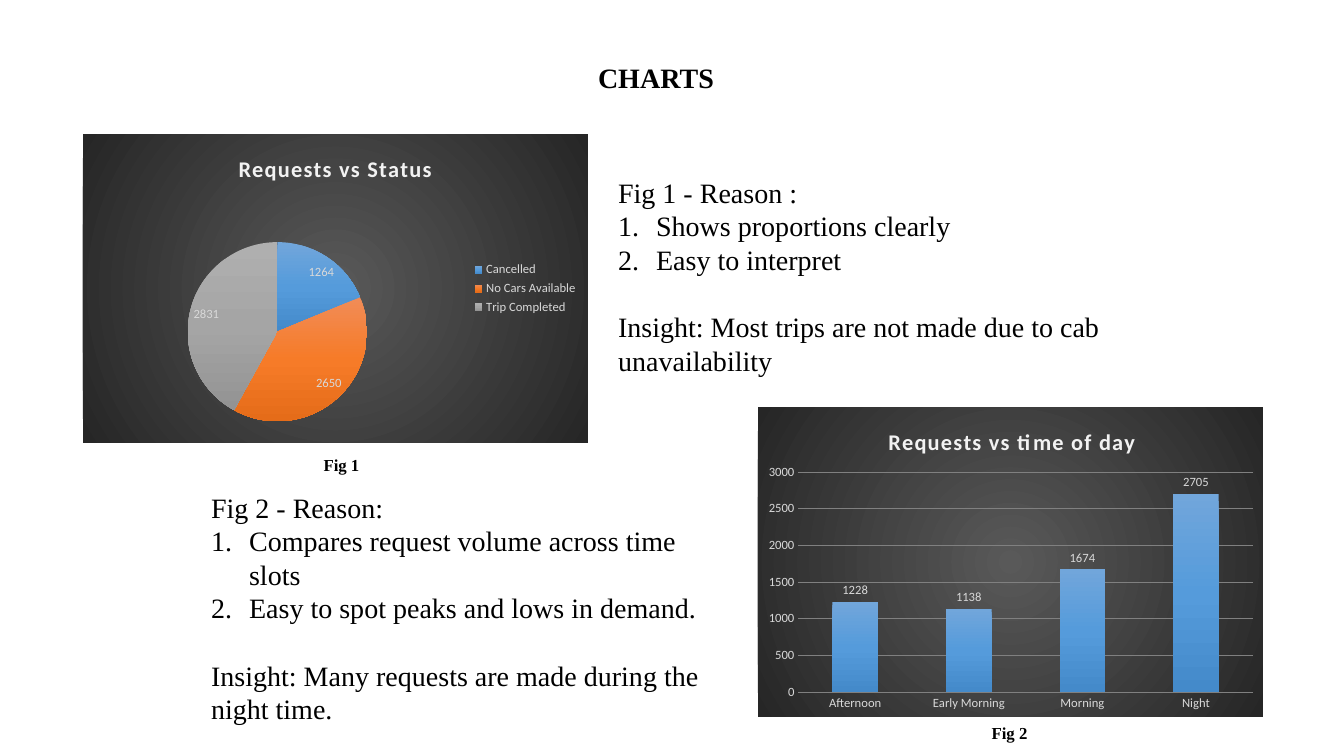
"""Build the CHARTS slide: two charts with captions, reasons and insights."""
from dataclasses import dataclass

from lxml import etree
from pptx import Presentation
from pptx.chart.chart import Chart
from pptx.chart.data import CategoryChartData
from pptx.dml.color import RGBColor
from pptx.enum.chart import XL_CHART_TYPE as ChartType
from pptx.enum.chart import XL_LABEL_POSITION as LabelPosition
from pptx.enum.chart import XL_LEGEND_POSITION as LegendPosition
from pptx.enum.chart import XL_TICK_MARK as TickMark
from pptx.enum.text import MSO_AUTO_SIZE as AutoSize
from pptx.enum.text import PP_ALIGN as Align
from pptx.oxml import parse_xml
from pptx.oxml.ns import nsdecls, qn
from pptx.shapes.base import BaseShape
from pptx.slide import Slide
from pptx.text.text import Font
from pptx.util import Emu, Pt

EMU_PER_PX = 914400 / 100.8
SERIF, SANS = "Times New Roman", "Calibri"

BLACK = RGBColor(0x00, 0x00, 0x00)
TITLE_GREY = RGBColor(0xF2, 0xF2, 0xF2)
LABEL_GREY = RGBColor(0xD9, 0xD9, 0xD9)
GRID_GREY = RGBColor(0x80, 0x80, 0x80)
PANEL = (RGBColor(0x59, 0x59, 0x59), RGBColor(0x26, 0x26, 0x26))
BLUE = (RGBColor(0x71, 0xA6, 0xDB), RGBColor(0x55, 0x9B, 0xDB), RGBColor(0x44, 0x8A, 0xCA))
ORANGE = (RGBColor(0xF1, 0x8C, 0x57), RGBColor(0xF6, 0x7B, 0x28), RGBColor(0xE5, 0x6C, 0x19))
GREY = (RGBColor(0xAF, 0xAF, 0xAF), RGBColor(0xA5, 0xA5, 0xA5), RGBColor(0x93, 0x93, 0x93))

LINEAR = '<a:lin ang="5400000" scaled="0"/>'
RADIAL = '<a:path path="circle"><a:fillToRect l="50000" t="50000" r="50000" b="50000"/></a:path>'


@dataclass(frozen=True)
class Box:
    left: int
    top: int
    width: int
    height: int

    def emu(self) -> list[Emu]:
        return [px(value) for value in (self.left, self.top, self.width, self.height)]


@dataclass(frozen=True)
class Figure:
    kind: ChartType
    title: str
    box: Box
    title_at: tuple[float, float]
    plot_at: tuple[float, float, float, float]
    values: dict[str, int]
    gradients: tuple[tuple[RGBColor, ...], ...]
    caption: str
    caption_box: Box
    heading: str
    reasons: tuple[str, ...]
    insight: str
    reasons_box: Box


FIGURES = (
    Figure(ChartType.PIE, "Requests vs Status", Box(83, 134, 505, 309),
           (0.3, 0.05), (0.03, 0.35, 0.71, 0.58),
           {"Cancelled": 1264, "No Cars Available": 2650, "Trip Completed": 2831},
           (BLUE, ORANGE, GREY), "Fig 1", Box(257, 450, 169, 30), "Fig 1 - Reason :",
           ("Shows proportions clearly", "Easy to interpret"),
           "Insight: Most trips are not made due to cab unavailability",
           Box(608, 170, 565, 244)),
    Figure(ChartType.COLUMN_CLUSTERED, "Requests vs time of day", Box(758, 407, 505, 310),
           (0.25, 0.05), (0.08, 0.21, 0.9, 0.71),
           {"Afternoon": 1228, "Early Morning": 1138, "Morning": 1674, "Night": 2705},
           (BLUE,), "Fig 2", Box(925, 718, 169, 30), "Fig 2 - Reason:",
           ("Compares request volume across time slots",
            "Easy to spot peaks and lows in demand."),
           "Insight: Many requests are made during the night time.",
           Box(201, 485, 539, 248)),
)


def px(value: int) -> Emu:
    return Emu(round(value * EMU_PER_PX))


def set_font(font: Font, name: str, size: int, color: RGBColor, bold: bool = False) -> None:
    font.name, font.size, font.bold = name, Pt(size), bold
    font.color.rgb = color


def gradient_xml(colors: tuple[RGBColor, ...], direction: str) -> str:
    step = 100000 // (len(colors) - 1)
    stops = "".join(f'<a:gs pos="{index * step}"><a:srgbClr val="{color}"/></a:gs>'
                    for index, color in enumerate(colors))
    return f'<a:gradFill {nsdecls("a")}><a:gsLst>{stops}</a:gsLst>{direction}</a:gradFill>'


def set_layout(element: etree._Element, index: int, fractions: tuple[float, ...]) -> None:
    for layout in element.findall(qn("c:layout")):
        element.remove(layout)
    target = '<c:layoutTarget val="inner"/>' if len(fractions) == 4 else ""
    modes = '<c:xMode val="edge"/><c:yMode val="edge"/>'
    sizes = "".join(f'<c:{name} val="{value}"/>' for name, value in zip("xywh", fractions))
    element.insert(index, parse_xml(
        f'<c:layout {nsdecls("c")}><c:manualLayout>{target}{modes}{sizes}'
        "</c:manualLayout></c:layout>"))


def style_axes(chart: Chart) -> None:
    for axis in (chart.category_axis, chart.value_axis):
        axis.major_tick_mark = axis.minor_tick_mark = TickMark.NONE
        axis.format.line.fill.background()
        set_font(axis.tick_labels.font, SANS, 9, LABEL_GREY)
    chart.category_axis.has_major_gridlines = False
    chart.value_axis.has_major_gridlines = True
    grid = chart.value_axis.major_gridlines.format.line
    grid.color.rgb, grid.width = GRID_GREY, Pt(0.75)


def add_figure_chart(slide: Slide, figure: Figure) -> None:
    data = CategoryChartData()
    data.categories = list(figure.values)
    data.add_series("Series 1", list(figure.values.values()))
    chart = slide.shapes.add_chart(figure.kind, *figure.box.emu(), data).chart
    set_font(chart.font, SANS, 10, BLACK)
    is_pie = figure.kind == ChartType.PIE
    plot = chart.plots[0]
    plot.vary_by_categories = is_pie
    plot.has_data_labels = True
    labels = plot.data_labels
    labels.show_value = True
    labels.position = LabelPosition.BEST_FIT if is_pie else LabelPosition.OUTSIDE_END
    set_font(labels.font, SANS, 9, LABEL_GREY)

    series = plot.series[0]
    chart.has_legend = is_pie
    if is_pie:
        chart.legend.position = LegendPosition.RIGHT
        chart.legend.include_in_layout = False
        set_font(chart.legend.font, SANS, 9, LABEL_GREY)
        filled = [series.points[index] for index in range(len(figure.gradients))]
    else:
        plot.gap_width = 150
        style_axes(chart)
        filled = [series]
    for item in filled:
        item.format.fill.gradient()
    space = chart._chartSpace
    for fill, colors in zip(list(space.iter(qn("a:gradFill"))), figure.gradients):
        fill.getparent().replace(fill, parse_xml(gradient_xml(colors, LINEAR)))

    chart.has_title = True
    chart.chart_title.text_frame.text = figure.title
    run = chart.chart_title.text_frame.paragraphs[0].runs[0]
    set_font(run.font, SANS, 16, TITLE_GREY, bold=True)
    run._r.get_or_add_rPr().set("spc", "100")
    set_layout(next(space.iter(qn("c:title"))), 1, figure.title_at)
    set_layout(next(space.iter(qn("c:plotArea"))), 0, figure.plot_at)
    space.find(qn("c:chart")).addnext(parse_xml(
        f'<c:spPr {nsdecls("c", "a")}>{gradient_xml(PANEL, RADIAL)}'
        "<a:ln><a:noFill/></a:ln></c:spPr>"))


def place_text(shape: BaseShape, box: Box, lines: tuple[str, ...], size: int,
               align: Align = Align.LEFT, bold: bool = False) -> None:
    shape.left, shape.top, shape.width, shape.height = box.emu()
    frame = shape.text_frame
    frame.word_wrap = True
    frame.auto_size = AutoSize.SHAPE_TO_FIT_TEXT
    frame.text = "\n".join(lines)
    for paragraph in frame.paragraphs:
        paragraph.alignment = align
        paragraph.space_before = Pt(0)
        set_font(paragraph.font, SERIF, size, BLACK, bold)


def add_reasons(shape: BaseShape, figure: Figure) -> None:
    place_text(shape, figure.reasons_box, (figure.heading, *figure.reasons, figure.insight), 20)
    paragraphs = shape.text_frame.paragraphs
    for paragraph in paragraphs:
        numbered = paragraph.text in figure.reasons
        indent = px(38) if numbered else 0
        properties = paragraph._p.get_or_add_pPr()
        properties.set("marL", str(indent))
        properties.set("indent", str(-indent))
        bullet = 'buAutoNum type="arabicPeriod"' if numbered else "buNone"
        properties.find(qn("a:spcBef")).addnext(parse_xml(f'<a:{bullet} {nsdecls("a")}/>'))
    paragraphs[-1].space_before = Pt(24)


def main() -> None:
    presentation = Presentation()
    presentation.slide_width, presentation.slide_height = px(1344), px(756)
    slide = presentation.slides.add_slide(presentation.slide_layouts[3])
    title, *bodies = slide.placeholders
    place_text(title, Box(470, 55, 372, 44), ("CHARTS",), 20, Align.CENTER, True)
    for figure, body in zip(FIGURES, bodies):
        add_figure_chart(slide, figure)
        caption = slide.shapes.add_textbox(*figure.caption_box.emu())
        place_text(caption, figure.caption_box, (figure.caption,), 12, Align.CENTER, True)
        add_reasons(body, figure)
    presentation.save("out.pptx")


if __name__ == "__main__":
    main()
